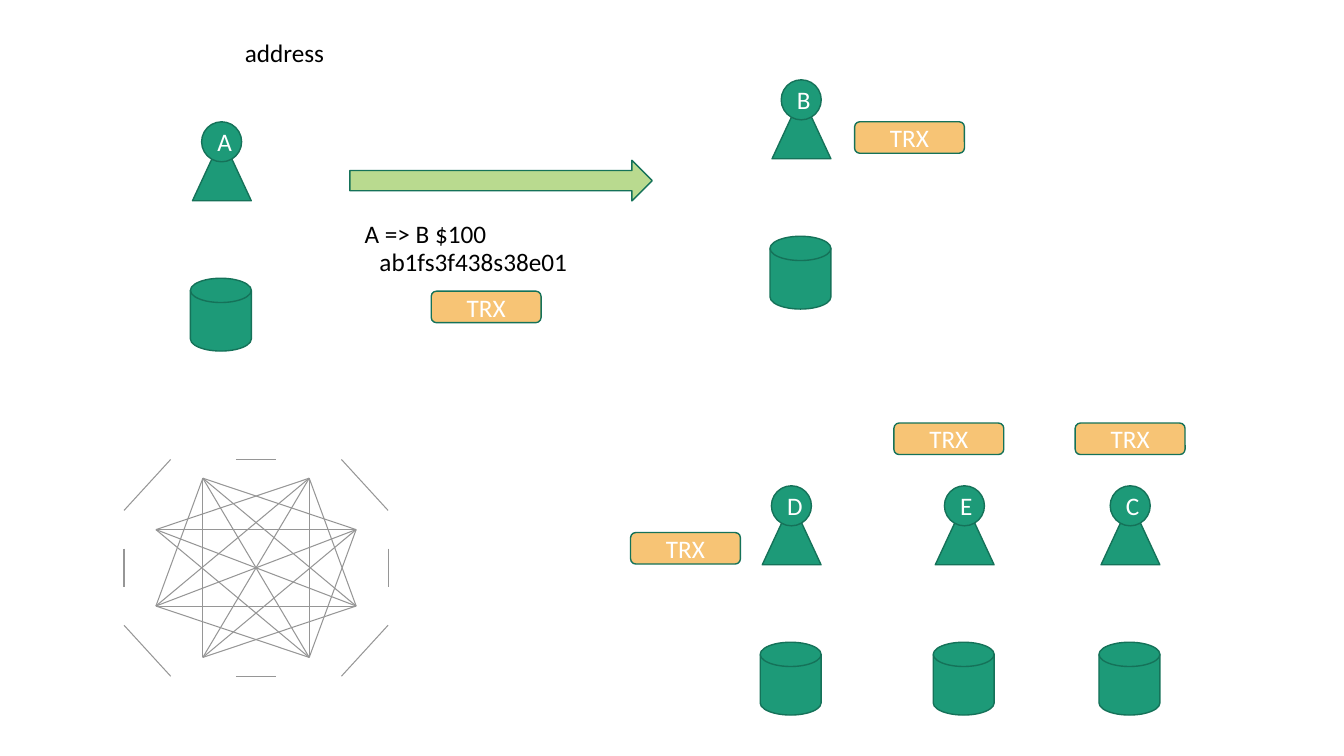
from itertools import combinations

from pptx import Presentation
from pptx.dml.color import RGBColor
from pptx.enum.shapes import MSO_CONNECTOR, MSO_SHAPE as SHAPE
from pptx.enum.text import MSO_AUTO_SIZE, MSO_ANCHOR, PP_ALIGN
from pptx.oxml.ns import qn
from pptx.util import Pt
from lxml import etree

GREEN, DARK_GREEN, LIME = "1D9A78", "157259", "B9DA8F"
ORANGE, GREY, WHITE, BLACK = "F7C475", "969696", "FFFFFF", "000000"

# letter, left, top
PEOPLE = [("A", 136, 87), ("D", 543, 347), ("B", 550, 57), ("C", 785, 347), ("E", 666.6, 347)]
TRX_TAGS = [(308, 208), (610.4, 87), (450.4, 380.4), (638.5, 302.2), (768, 302.2)]
# text, left, top, width
LABELS = [
    ("A => B $100", 253.4, 152.6, 218),
    ("address", 167.8, 23, 86),
    ("ab1fs3f438s38e01", 264, 172.4, 166),
]
NET_CENTER = (182.9, 405.6)
# clockwise from the upper left, relative to the centre
NODES = [(-38, -64), (38, -64), (71.5, -27.3), (71.5, 27.3),
         (38, 64), (-38, 64), (-71.5, 27.3), (-71.5, -27.3)]
UNLINKED = (5, 7)


def rgb(color):
    return RGBColor.from_string(color)


def write(sp, text, color, align):
    p = sp.text_frame.paragraphs[0]
    p.alignment = align
    r = p.add_run()
    r.text = text
    for name, value in {"name": "Calibri", "size": Pt(18)}.items():
        setattr(r.font, name, value)
    r.font.color.rgb = rgb(color)


def add_shape(shapes, kind, x, y, w, h, fill, text=""):
    sp = shapes.add_shape(kind, Pt(x), Pt(y), Pt(w), Pt(h))
    sp.shadow.inherit = False
    sp.fill.solid()
    sp.fill.fore_color.rgb = rgb(fill)
    sp.line.color.rgb = rgb(DARK_GREEN)
    sp.line.width = Pt(1)
    if text:
        sp.text_frame.vertical_anchor = MSO_ANCHOR.MIDDLE
        write(sp, text, WHITE, PP_ALIGN.CENTER)
    return sp


def add_person(s, letter, x, y):
    """A lettered figure with its data store below."""
    shapes = s.shapes.add_group_shape().shapes
    add_shape(shapes, SHAPE.ISOSCELES_TRIANGLE, x + 1.5, y + 11.2, 42, 45.2, GREEN)
    add_shape(shapes, SHAPE.OVAL, x + 8, y, 28.6, 28.6, GREEN, letter)
    add_shape(shapes, SHAPE.FLOWCHART_MAGNETIC_DISK, x, y + 111.8, 43.5, 52, GREEN)


def add_label(s, text, x, y, w):
    sp = s.shapes.add_textbox(Pt(x), Pt(y), Pt(w), Pt(29))
    for name, value in {"word_wrap": True, "auto_size": MSO_AUTO_SIZE.SHAPE_TO_FIT_TEXT}.items():
        setattr(sp.text_frame, name, value)
    write(sp, text, BLACK, PP_ALIGN.LEFT)


def add_line(shapes, start, end):
    """Line between two points given relative to the network centre."""
    cx, cy = NET_CENTER
    ends = [Pt(v) for x, y in (start, end) for v in (cx + x, cy + y)]
    line = shapes.add_connector(MSO_CONNECTOR.STRAIGHT, *ends)
    line.line.color.rgb = rgb(GREY)
    line.line.width = Pt(0.75)
    etree.SubElement(line._element.spPr, qn("a:effectLst"))


def add_network(s):
    shapes = s.shapes.add_group_shape().shapes
    for side in (-1, 1):
        add_line(shapes, (-14.4, side * 77.4), (14.4, side * 77.4))
        add_line(shapes, (side * 94.3, -13.7), (side * 94.3, 13.7))
        for level in (-1, 1):
            add_line(shapes, (side * 61, level * 77.4), (side * 94.3, level * 41))
    for a, b in combinations(range(len(NODES)), 2):
        if b - a not in (1, 7) and (a, b) != UNLINKED:
            add_line(shapes, NODES[a], NODES[b])


def main():
    prs = Presentation()
    prs.slide_width, prs.slide_height = Pt(960), Pt(540)
    s = prs.slides.add_slide(prs.slide_layouts[6])
    for person in PEOPLE:
        add_person(s, *person)
    arrow = add_shape(s.shapes, SHAPE.DOWN_ARROW, 343.4, 21, 29, 216, LIME)
    arrow.rotation = 270
    for label in LABELS:
        add_label(s, *label)
    for x, y in TRX_TAGS:
        add_shape(s.shapes, SHAPE.ROUNDED_RECTANGLE, x, y, 78.5, 22.5, ORANGE, "TRX")
    add_network(s)
    prs.save("out.pptx")


if __name__ == "__main__":
    main()
